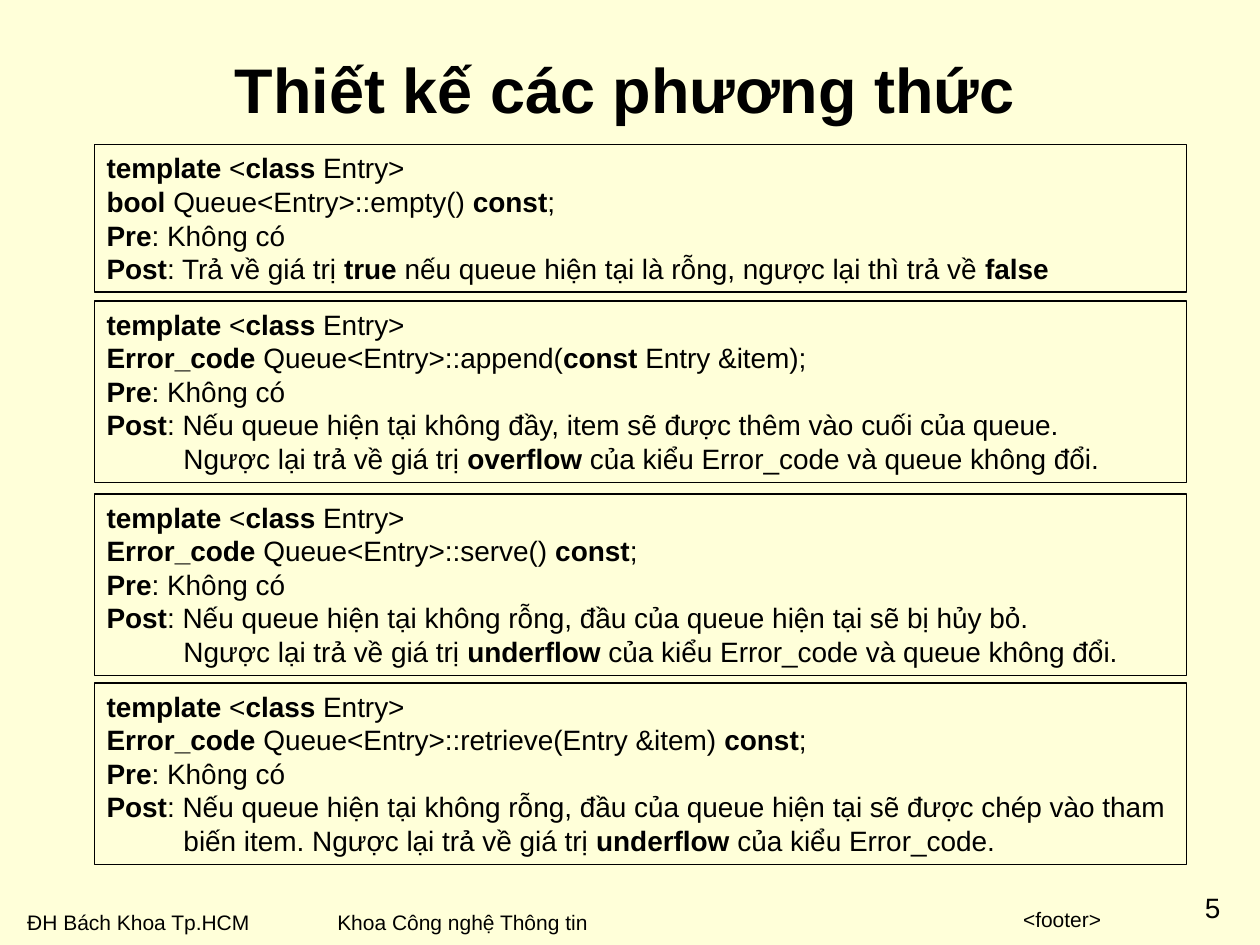
from pptx import Presentation
from pptx.dml.color import RGBColor
from pptx.enum.shapes import MSO_SHAPE
from pptx.enum.text import MSO_ANCHOR, MSO_AUTO_SIZE, PP_ALIGN
from pptx.util import Cm, Pt

INK, PAPER = "000000", "FFFFD9"
HEAD = "**template** <**class** Entry>"
PRE = "**Pre**: Không có"

# Each method: top and height in cm, signature, postcondition, its second line
METHODS = [
    (2.92, 2.97, "**bool** Queue<Entry>::empty() **const**;",
     "Trả về giá trị **true** nếu queue hiện tại là rỗng, "
     "ngược lại thì trả về **false**", None),
    (6.07, 3.66, "**Error_code** Queue<Entry>::append(**const** Entry &item);",
     "Nếu queue hiện tại không đầy, item sẽ được thêm vào cuối của queue.",
     "Ngược lại trả về giá trị **overflow** của kiểu Error_code "
     "và queue không đổi."),
    (9.96, 3.66, "**Error_code** Queue<Entry>::serve() **const**;",
     "Nếu queue hiện tại không rỗng, đầu của queue hiện tại sẽ bị hủy bỏ.",
     "Ngược lại trả về giá trị **underflow** của kiểu Error_code "
     "và queue không đổi."),
    (13.77, 3.66,
     "**Error_code** Queue<Entry>::retrieve(Entry &item) **const**;",
     "Nếu queue hiện tại không rỗng, đầu của queue hiện tại "
     "sẽ được chép vào tham",
     "biến item. Ngược lại trả về giá trị **underflow** của kiểu Error_code."),
]

# Each footer part: text, box in cm, size, alignment, inset in cm, wrap
FOOTERS = [
    ("ĐH Bách Khoa Tp.HCM", (0.3, 18.21, 5, 0.76), 12, PP_ALIGN.LEFT, 0.25, False),
    ("Khoa Công nghệ Thông tin", (6.55, 18.21, 5.56, 0.76), 12, PP_ALIGN.LEFT, 0.25, False),
    ("<footer>", (8.05, 18.16, 14.4, 0.76), 12, PP_ALIGN.RIGHT, 0.25, True),
    ("5", (23.9, 17.96, 1.09, 0.69), 16, PP_ALIGN.CENTER, 0, True),
]


def color(code):
    return RGBColor.from_string(code)


def style(para, size, align=PP_ALIGN.LEFT):
    para.alignment = align
    font = para.font
    font.name, font.size = "Arial", Pt(size)
    font.color.rgb = color(INK)


def write(para, text):
    """Fill a paragraph, with the parts between ** in bold."""
    style(para, 16)
    for i, part in enumerate(text.split("**")):
        if part:
            run = para.add_run()
            run.text = part
            run.font.bold = i % 2 == 1


def add_title(slide, text, box):
    title = slide.shapes.title
    title.left, title.top, title.width, title.height = map(Cm, box)
    frame = title.text_frame
    frame.text = text
    frame.auto_size = MSO_AUTO_SIZE.NONE
    frame.vertical_anchor = MSO_ANCHOR.MIDDLE
    para = frame.paragraphs[0]
    style(para, 36, PP_ALIGN.CENTER)
    para.font.bold = True


def add_method(slide, box, sign, post, more):
    shape = slide.shapes.add_shape(MSO_SHAPE.RECTANGLE, *map(Cm, box))
    shape.shadow.inherit = False
    shape.fill.solid()
    shape.fill.fore_color.rgb = color(PAPER)
    shape.line.color.rgb = color(INK)
    shape.line.width = Pt(0.75)
    frame = shape.text_frame
    frame.word_wrap = True
    frame.vertical_anchor = MSO_ANCHOR.TOP
    lines = [HEAD, sign, PRE, f"**Post**: {post}"]
    for i, line in enumerate(lines):
        write(frame.add_paragraph() if i else frame.paragraphs[0], line)
    if more:
        para = frame.add_paragraph()
        write(para, more)
        para._p.get_or_add_pPr().set("marL", str(Cm(1.55)))


def add_footer(slide, text, box, size, align, inset, wrap):
    frame = slide.shapes.add_textbox(*map(Cm, box)).text_frame
    frame.word_wrap = wrap
    frame.margin_left = frame.margin_right = Cm(inset)
    frame.margin_top = frame.margin_bottom = Cm(inset / 2)
    frame.text = text
    style(frame.paragraphs[0], size, align)


def main():
    deck = Presentation()
    deck.slide_width, deck.slide_height = Cm(25.4), Cm(19.05)
    slide = deck.slides.add_slide(deck.slide_layouts[5])
    slide.background.fill.solid()
    slide.background.fill.fore_color.rgb = color(PAPER)
    for part in FOOTERS:
        add_footer(slide, *part)
    add_title(slide, "Thiết kế các phương thức", (2.34, 0.2, 20.52, 3.18))
    for top, height, *texts in METHODS:
        add_method(slide, (1.9, top, 22.02, height), *texts)
    deck.save("out.pptx")


if __name__ == "__main__":
    main()
